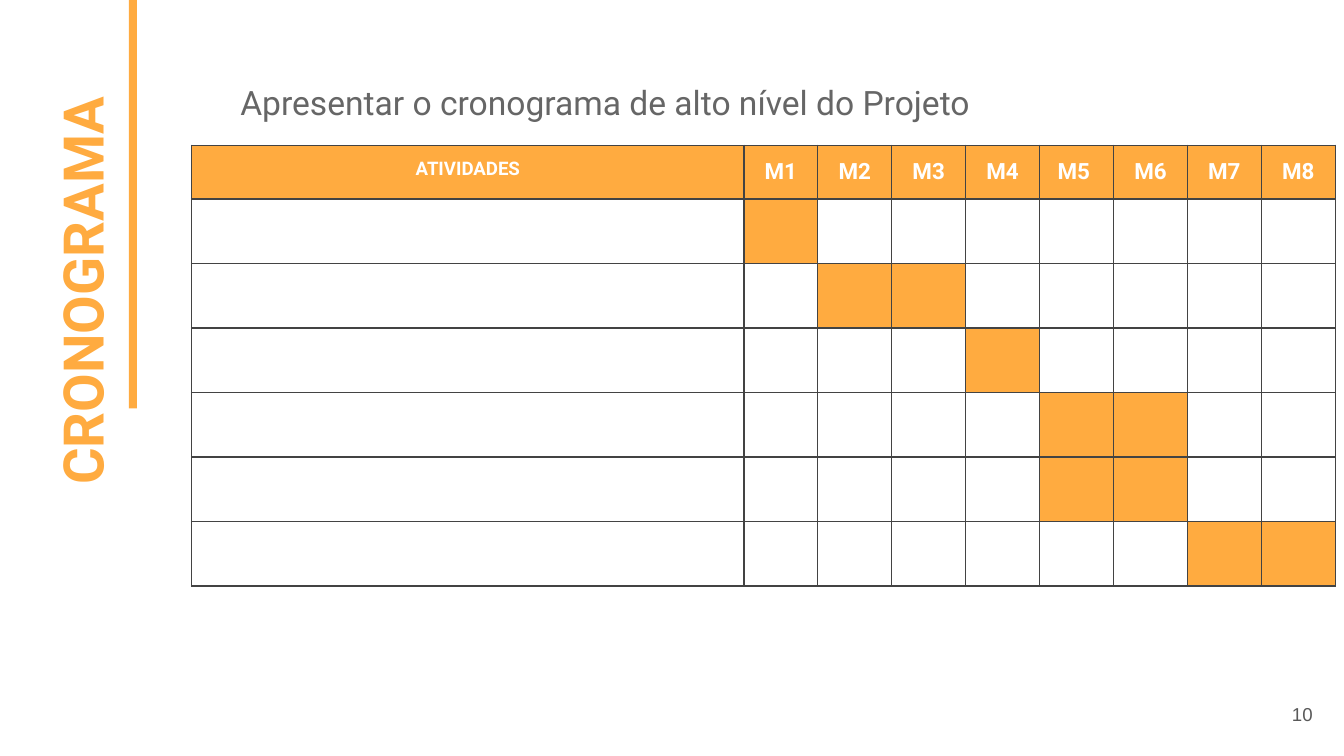
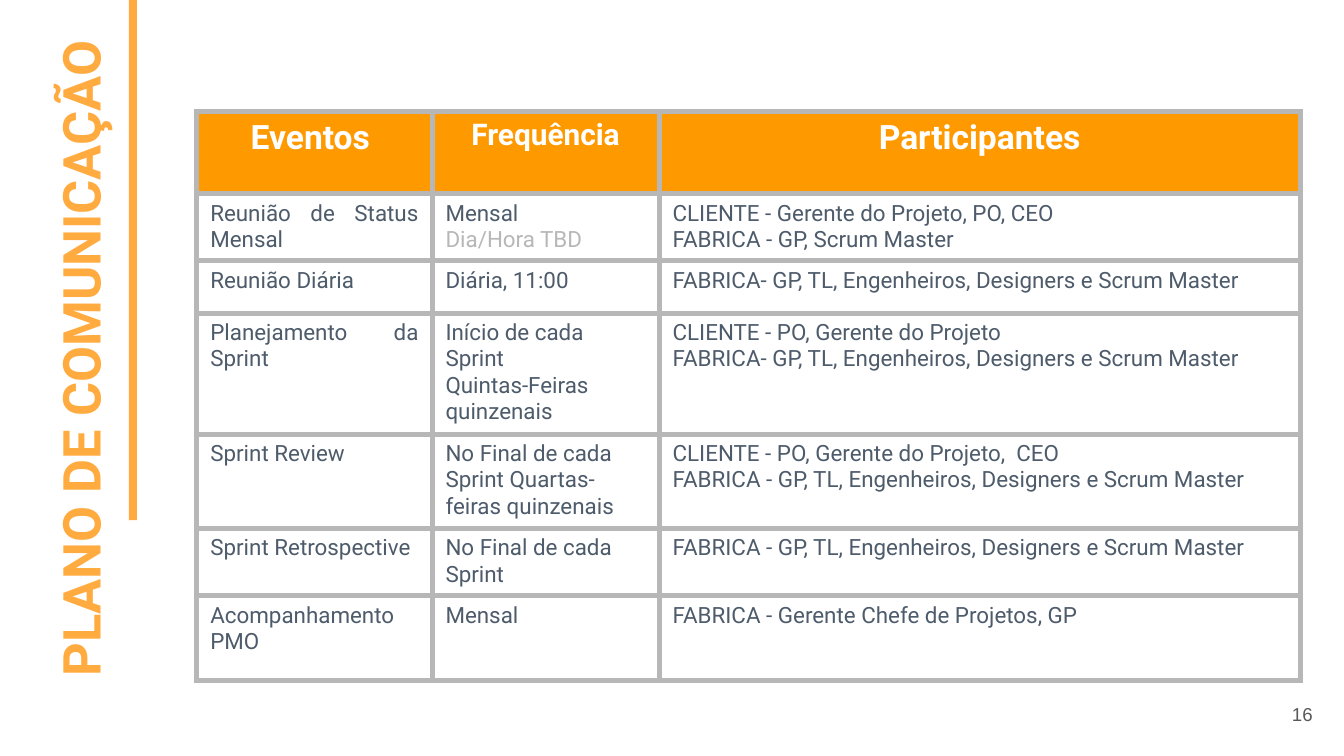
"""Builds the schedule and communication plan slides of a project deck."""
from lxml.etree import SubElement
from pptx import Presentation
from pptx.dml.color import RGBColor
from pptx.enum.shapes import MSO_SHAPE
from pptx.enum.text import MSO_ANCHOR, PP_ALIGN
from pptx.oxml.ns import qn
from pptx.util import Pt

PX = 4572
ORANGE, HEADER_ORANGE, WHITE = "FFAB40", "FF9900", "FFFFFF"
GREY, SLATE, SILVER, CHARCOAL, PAGE_GREY = "666666", "4D5B6B", "B7B7B7", "434343", "595959"
LEFT, CENTER, RIGHT, JUSTIFY = PP_ALIGN.LEFT, PP_ALIGN.CENTER, PP_ALIGN.RIGHT, PP_ALIGN.JUSTIFY


def write_text(frame, text, size, color, align=LEFT, bold=False, font="Roboto"):
    """Fill a text frame with one paragraph per line of text."""
    frame.word_wrap = True
    for index, line in enumerate(text.split("\n")):
        paragraph = frame.add_paragraph() if index else frame.paragraphs[0]
        paragraph.text = line
        paragraph.alignment = align
        paragraph.font.name = font
        paragraph.font.size = Pt(size)
        paragraph.font.bold = bold
        paragraph.font.color.rgb = RGBColor.from_string(color)


def add_grid(slide, left, top, widths, heights, margin, border, weight):
    """Add a white table with the same border around every cell."""
    table = slide.shapes.add_table(len(heights), len(widths), left * PX, top * PX,
                                   sum(widths) * PX, sum(heights) * PX).table
    table.first_row = table.horz_banding = False
    for column, width in zip(table.columns, widths):
        column.width = width * PX
    for row, height in zip(table.rows, heights):
        row.height = height * PX
    for cell in table.iter_cells():
        cell.margin_left = cell.margin_right = 20 * PX
        cell.margin_top = cell.margin_bottom = margin * PX
        properties = cell._tc.get_or_add_tcPr()
        for side in ("a:lnL", "a:lnR", "a:lnT", "a:lnB"):
            line = SubElement(properties, qn(side), w=str(Pt(weight)))
            SubElement(SubElement(line, qn("a:solidFill")), qn("a:srgbClr"), val=border)
        cell.fill.solid()
        cell.fill.fore_color.rgb = RGBColor.from_string(WHITE)
    return table


presentation = Presentation()
presentation.slide_width = 2000 * PX
presentation.slide_height = 1125 * PX

slides = []
for title, box, size, align, bar_height, number in [
    ("CRONOGRAMA", (-248, 314, 726, 128), 30, LEFT, 608, "10"),
    ("PLANO DE COMUNICAÇÃO", (-417, 510, 1066, 128), 28, RIGHT, 774, "16"),
]:
    slide = presentation.slides.add_slide(presentation.slide_layouts[6])
    slides.append(slide)

    title_box = slide.shapes.add_textbox(*[value * PX for value in box])
    title_box.rotation = 270
    write_text(title_box.text_frame, title, size, ORANGE, align, bold=True)

    bar = slide.shapes.add_shape(MSO_SHAPE.RECTANGLE, 192 * PX, 0, 12 * PX, bar_height * PX)
    bar.shadow.inherit = False
    bar.fill.solid()
    bar.fill.fore_color.rgb = RGBColor.from_string(ORANGE)
    bar.line.fill.background()

    page_box = slide.shapes.add_textbox(1853 * PX, 1020 * PX, 120 * PX, 86 * PX)
    page_box.text_frame.vertical_anchor = MSO_ANCHOR.MIDDLE
    write_text(page_box.text_frame, number, 10, PAGE_GREY, RIGHT, font="Arial")

    for frame in (title_box.text_frame, page_box.text_frame):
        frame.margin_left = frame.margin_right = 20 * PX
        frame.margin_top = frame.margin_bottom = 20 * PX

schedule_slide, communication_slide = slides

subtitle_box = schedule_slide.shapes.add_textbox(338 * PX, 93 * PX, 1420 * PX, 86 * PX)
subtitle = subtitle_box.text_frame
subtitle.margin_left = subtitle.margin_right = 20 * PX
subtitle.margin_top = subtitle.margin_bottom = 20 * PX
write_text(subtitle, "Apresentar o cronograma de alto nível do Projeto", 18, GREY, JUSTIFY)
subtitle.paragraphs[0].line_spacing = 1.15

schedule = add_grid(schedule_slide, 285, 216, [822] + [110] * 8, [78] + [96] * 6,
                    20, CHARCOAL, 0.75)
for cell in schedule.iter_cells():
    write_text(cell.text_frame, "", 12, CHARCOAL)
months = ["M1", "M2", "M3", "M4", "M5 ", "M6", "M7", "M8"]
for column, heading in enumerate(["ATIVIDADES"] + months):
    cell = schedule.cell(0, column)
    write_text(cell.text_frame, heading, 12 if column else 10, WHITE, CENTER, bold=True)
    cell.fill.fore_color.rgb = RGBColor.from_string(ORANGE)
active_months = [[1], [2, 3], [4], [5, 6], [5, 6], [7, 8]]
for row, active in enumerate(active_months, 1):
    for month in active:
        schedule.cell(row, month).fill.fore_color.rgb = RGBColor.from_string(ORANGE)

events = [
    ("Reunião de Status Mensal", "Mensal\nDia/Hora TBD",
     "CLIENTE - Gerente do Projeto, PO, CEO\nFABRICA - GP, Scrum Master"),
    ("Reunião Diária", "Diária, 11:00",
     "FABRICA- GP, TL, Engenheiros, Designers e Scrum Master"),
    ("Planejamento da Sprint", "Início de cada Sprint\nQuintas-Feiras quinzenais",
     "CLIENTE - PO, Gerente do Projeto\n"
     "FABRICA- GP, TL, Engenheiros, Designers e Scrum Master"),
    ("Sprint Review", "No Final de cada Sprint Quartas-feiras quinzenais",
     "CLIENTE - PO, Gerente do Projeto,  CEO\n"
     "FABRICA - GP, TL, Engenheiros, Designers e Scrum Master"),
    ("Sprint Retrospective", "No Final de cada Sprint",
     "FABRICA - GP, TL, Engenheiros, Designers e Scrum Master"),
    ("Acompanhamento PMO", "Mensal", "FABRICA - Gerente Chefe de Projetos, GP"),
]
plan = add_grid(communication_slide, 293, 166, [350, 338, 954],
                [122, 96, 78, 96, 118, 90, 126], 10, SILVER, 3)
headings = [("Eventos ", 18), ("Frequência", 16), ("Participantes", 18)]
for column, (heading, size) in enumerate(headings):
    cell = plan.cell(0, column)
    write_text(cell.text_frame, heading, size, WHITE, CENTER, bold=True)
    cell.fill.fore_color.rgb = RGBColor.from_string(HEADER_ORANGE)
for row, event in enumerate(events, 1):
    for column, text in enumerate(event):
        write_text(plan.cell(row, column).text_frame, text, 12, SLATE,
                   LEFT if column else JUSTIFY)
pending_time = plan.cell(1, 1).text_frame.paragraphs[1]
pending_time.font.color.rgb = RGBColor.from_string(SILVER)

presentation.save("out.pptx")
